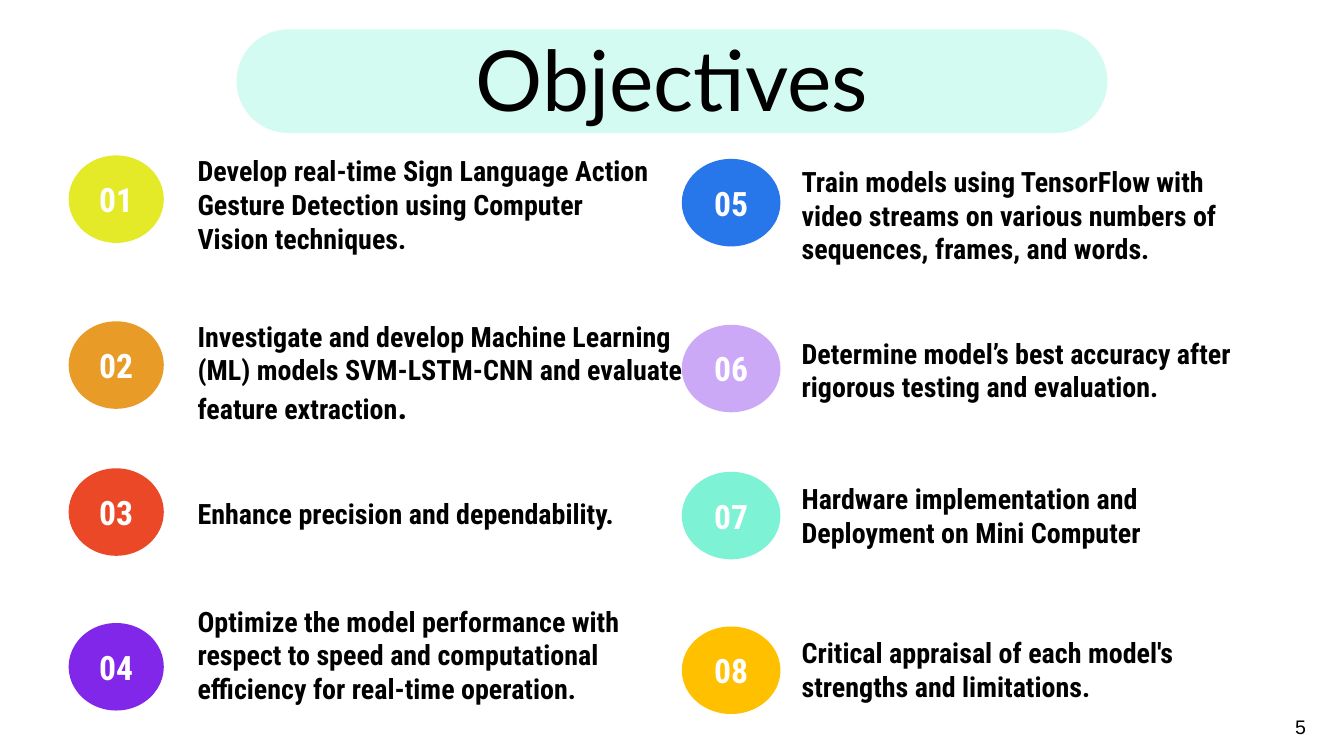
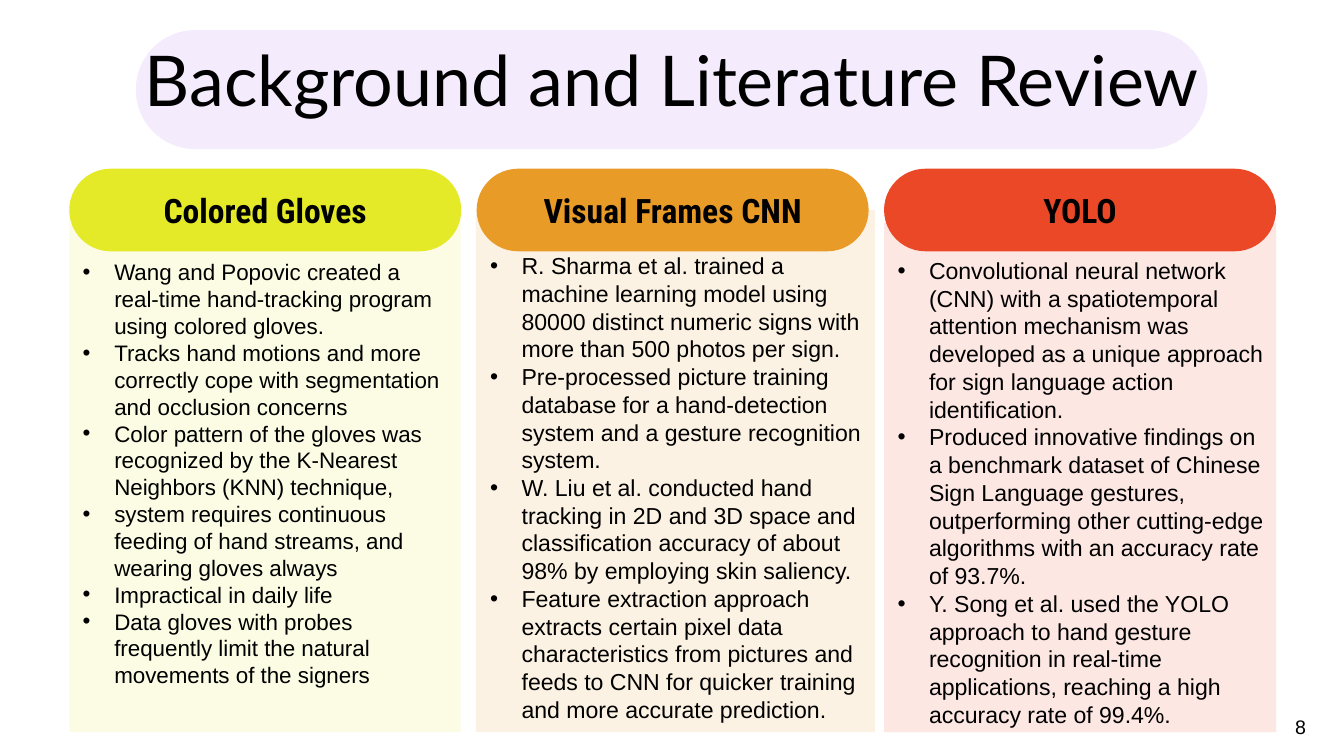
"""Build the objectives and literature review slides."""
from lxml import etree
from pptx import Presentation
from pptx.dml.color import RGBColor
from pptx.enum import shapes, text
from pptx.oxml.ns import qn
from pptx.util import Pt

COLORS = {
    "black": "000000", "white": "FFFFFF", "mint": "D4FBF1", "lilac": "EBDCFC",
    "lime": "E4EA27", "orange": "E99B27", "red": "EA4827", "violet": "8027EA",
    "blue": "2776EA", "lavender": "CCA9F7", "aqua": "7DF2D4", "amber": "FFC000",
}
OVAL = shapes.MSO_SHAPE.OVAL
PILL = shapes.MSO_SHAPE.ROUNDED_RECTANGLE
RECTANGLE = shapes.MSO_SHAPE.RECTANGLE
HEADING_FONT = "Roboto Condensed"
INSET = 9.6


def add_block(slide, kind, box, color, opacity=100):
    shape = slide.shapes.add_shape(kind, *map(Pt, box))
    shape.shadow.inherit = False
    shape.fill.solid()
    shape.fill.fore_color.rgb = RGBColor.from_string(COLORS[color])
    shape.line.fill.background()
    if kind == PILL:
        shape.adjustments[0] = 0.5
    if opacity < 100:
        color_element = shape._element.spPr.find(qn("a:solidFill"))[0]
        etree.SubElement(color_element, qn("a:alpha"), val=str(opacity * 1000))
    return shape


def write(shape, lines, font, size, color="black", bold=False, align="LEFT",
          anchor="MIDDLE", inset=INSET, spacing=None, bullet_indent=0):
    frame = shape.text_frame
    frame.word_wrap = True
    frame.vertical_anchor = getattr(text.MSO_ANCHOR, anchor)
    frame.margin_left = frame.margin_right = Pt(inset)
    frame.margin_top = frame.margin_bottom = Pt(inset)
    for index, line in enumerate(lines):
        paragraph = frame.add_paragraph() if index else frame.paragraphs[0]
        paragraph.text = line
        paragraph.alignment = getattr(text.PP_ALIGN, align)
        if spacing:
            paragraph.line_spacing = spacing
        if bullet_indent:
            properties = paragraph._p.get_or_add_pPr()
            properties.set("marL", str(Pt(bullet_indent)))
            properties.set("indent", str(-Pt(bullet_indent)))
            etree.SubElement(properties, qn("a:buFont"), typeface="Arial")
            etree.SubElement(properties, qn("a:buChar"), char="•")
        paragraph.font.name = font
        paragraph.font.size = Pt(size)
        paragraph.font.bold = bold
        paragraph.font.color.rgb = RGBColor.from_string(COLORS[color])


presentation = Presentation()
presentation.slide_width, presentation.slide_height = Pt(960), Pt(540)

titles = [
    ("Objectives", 60, (169, 21, 622, 74), "mint", 100, "5"),
    ("Background and Literature Review", 50, (97, 21.5, 765.5, 85), "lilac", 55, "8"),
]
slides = []
for title, size, band, color, opacity, number in titles:
    slide = presentation.slides.add_slide(presentation.slide_layouts[6])
    add_block(slide, PILL, band, color, opacity)
    title_box = slide.shapes.add_textbox(Pt(48), Pt(27), Pt(864), Pt(66))
    write(title_box, [title], "Lato", size, align="CENTER", spacing=0.9)
    number_box = slide.shapes.add_textbox(Pt(918), Pt(507), Pt(40), Pt(24))
    write(number_box, [number], "Arial", 14, anchor="TOP", inset=7.2 / 2)
    number_box.text_frame.margin_left = Pt(7.2)
    slides.append(slide)
objectives_slide, review_slide = slides

objectives = [
    ("lime", 111, 344, 70, "Develop real-time Sign Language Action Gesture Detection "
     "using Computer Vision techniques."),
    ("orange", 231, 370, 70.5, "Investigate and develop Machine Learning (ML) models "
     "SVM-LSTM-CNN and evaluate feature extraction"),
    ("red", 342, 320.5, 49.5, "Enhance precision and dependability."),
    ("violet", 427.5, 355.5, 80, "Optimize the model performance with respect to speed "
     "and computational efficiency for real-time operation."),
    ("blue", 114, 353.5, 79, "Train models using TensorFlow with video streams on "
     "various numbers of sequences, frames, and words."),
    ("lavender", 237.5, 337, 53.5, "Determine model’s best accuracy after rigorous "
     "testing and evaluation."),
    ("aqua", 342.5, 349, 51, "Hardware implementation and Deployment on Mini Computer"),
    ("amber", 453, 312.5, 50.5, "Critical appraisal of each model's strengths and "
     "limitations."),
]
oval_columns = [(49, 68, 0, 131.5), (487, 70.5, 2.5, 563)]
oval_tops = [111, 229.5, 334.5, 445]
for index, (color, top, width, height, objective) in enumerate(objectives):
    column, row = divmod(index, len(oval_tops))
    oval_left, oval_width, drop, text_left = oval_columns[column]
    oval = add_block(objectives_slide, OVAL,
                     (oval_left, oval_tops[row] + drop, oval_width, 62.5), color)
    write(oval, [f"{index + 1:02}"], HEADING_FONT, 24, "white", True, "CENTER")
    objective_box = objectives_slide.shapes.add_textbox(
        Pt(text_left), Pt(top), Pt(width), Pt(height))
    write(objective_box, [objective], HEADING_FONT, 20, bold=True)
    if not objective.endswith("."):
        if color == "orange":
            full_stop = objective_box.text_frame.paragraphs[0].add_run()
            full_stop.text = "."
            full_stop.font.size = Pt(24)

approaches = [
    ("Colored Gloves", "lime", (49.5, 150, 279.5, 373), 175, 275, 16, [
        "Wang and Popovic created a real-time hand-tracking program using colored gloves.",
        "Tracks hand motions and more correctly cope with segmentation and occlusion "
        "concerns",
        "Color pattern of the gloves was recognized by the K-Nearest Neighbors (KNN) "
        "technique,",
        "system requires continuous feeding of hand streams, and wearing gloves always",
        "Impractical in daily life",
        "Data gloves with probes frequently limit the natural movements of the signers",
    ]),
    ("Visual Frames CNN", "orange", (340, 150, 285, 373), 170, 290, 16.5, [
        "R. Sharma et al. trained a machine learning model using 80000 distinct numeric "
        "signs with more than 500 photos per sign.",
        "Pre-processed picture training database for a hand-detection system and a "
        "gesture recognition system.",
        "W. Liu et al. conducted hand tracking in 2D and 3D space and classification "
        "accuracy of about 98% by employing skin saliency.",
        "Feature extraction approach extracts certain pixel data characteristics from "
        "pictures and feeds to CNN for quicker training and more accurate prediction.",
    ]),
    ("YOLO", "red", (631.5, 159, 280, 364), 173.5, 281, 16.5, [
        "Convolutional neural network (CNN) with a spatiotemporal attention mechanism "
        "was developed as a unique approach for sign language action identification.",
        "Produced innovative findings on a benchmark dataset of Chinese Sign Language "
        "gestures, outperforming other cutting-edge algorithms with an accuracy rate "
        "of 93.7%.",
        "Y. Song et al. used the YOLO approach to hand gesture recognition in real-time "
        "applications, reaching a high accuracy rate of 99.4%.",
    ]),
]
for index, (name, color, panel, top, width, size, findings) in enumerate(approaches):
    left = 49.5 + index * 291
    add_block(review_slide, RECTANGLE, panel, color, 13)
    header = add_block(review_slide, PILL, (left, 120.5, 280, 59), color)
    write(header, [name], HEADING_FONT, 24, bold=True, align="CENTER")
    findings_box = review_slide.shapes.add_textbox(
        Pt(left), Pt(top), Pt(width), Pt(523 - top))
    write(findings_box, findings, "Arial", size, anchor="TOP",
          spacing=Pt(size * 1.2), bullet_indent=22.5)

presentation.save("out.pptx")
